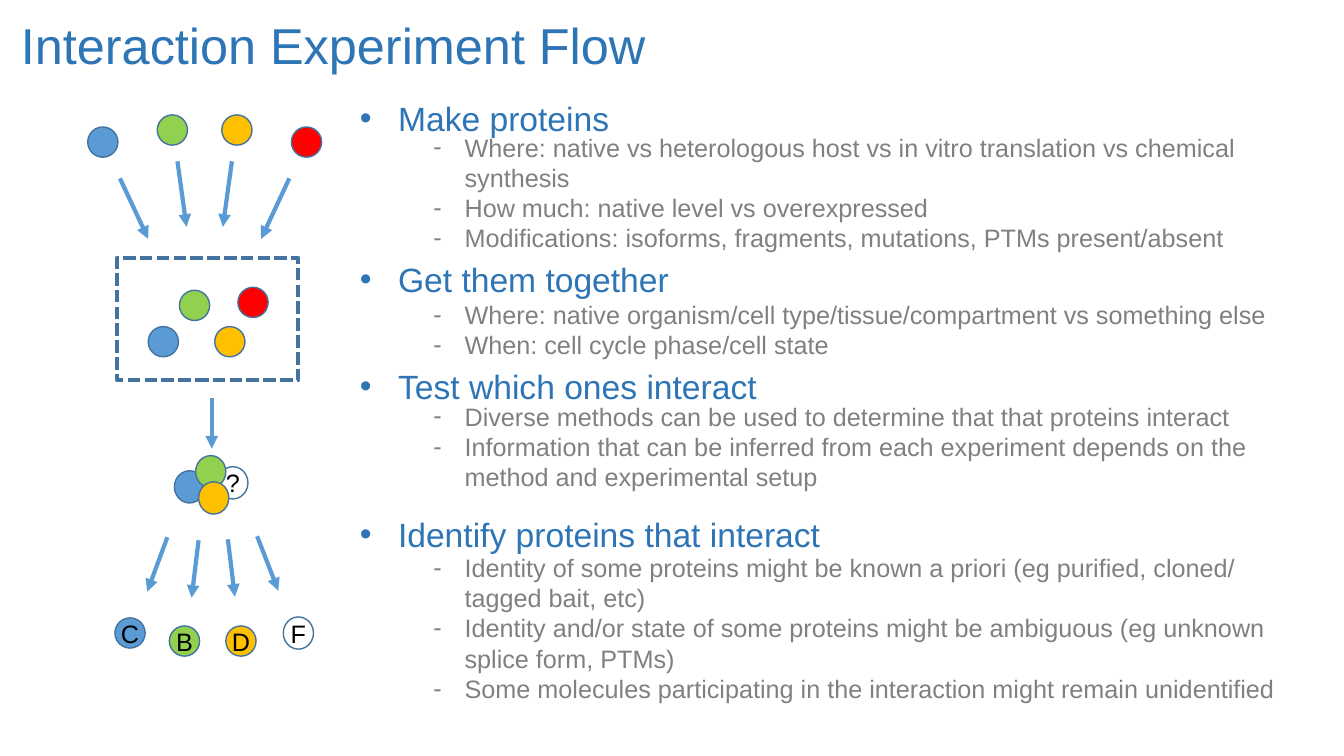
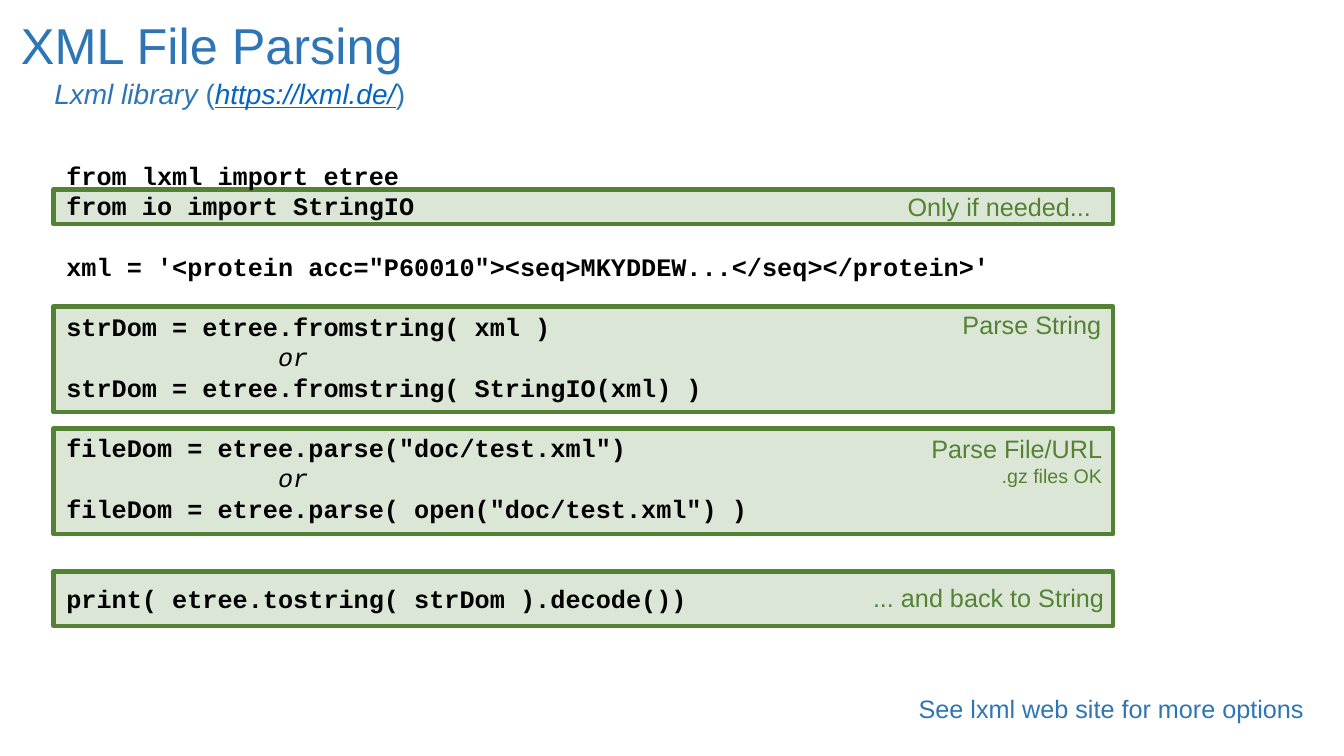
from lxml import etree
from pptx import Presentation, util as u
from pptx.dml import color
from pptx.enum import dml, shapes, text
from pptx.oxml import ns

PX = 9144
TITLE_BLUE, SKY, NAVY = "2E75B6", "5B9BD5", "43739E"
GREEN, LIME, AMBER, RED = "548235", "92D050", "FFC000", "FF0000"
GREY, BLACK, LINK = "808080", "000000", "0563C1"
SANS, MONO = "Arial", "Courier New"
DISC = 30
TALL_DISC = 32

SECTIONS = [
    (92, 34, "Make proteins", [
        "Where: native vs heterologous host vs in vitro translation vs chemical synthesis",
        "How much: native level vs overexpressed",
        "Modifications: isoforms, fragments, mutations, PTMs present/absent"]),
    (252, 40, "Get them together", [
        "Where: native organism/cell type/tissue/compartment vs something else",
        "When: cell cycle phase/cell state"]),
    (358, 35, "Test which ones interact", [
        "Diverse methods can be used to determine that that proteins interact",
        "Information that can be inferred from each experiment depends on the method "
        "and experimental setup"]),
    (505, 38, "Identify proteins that interact", [
        "Identity of some proteins might be known a priori (eg purified, cloned/ tagged bait, etc)",
        "Identity and/or state of some proteins might be ambiguous (eg unknown splice form, PTMs)",
        "Some molecules participating in the interaction might remain unidentified"]),
]

DISCS = [
    (0, 12, DISC, SKY, ""), (69, 0, DISC, LIME, ""),
    (133, 0, DISC, AMBER, ""), (202, 12, DISC, RED, ""),
    (60, 210, DISC, SKY, ""), (91, 174, DISC, LIME, ""),
    (126, 210, DISC, AMBER, ""), (149, 171, DISC, RED, ""),
    (129, 349, TALL_DISC, None, "?"), (86, 353, TALL_DISC, SKY, ""),
    (107, 338, TALL_DISC, LIME, ""), (110, 364, TALL_DISC, AMBER, ""),
    (27, 499, DISC, SKY, "C"), (81, 507, DISC, LIME, "B"),
    (137, 507, DISC, AMBER, "D"), (194, 498, TALL_DISC, None, "F"),
]

ARROWS = [
    (32, 63, 60, 123), (89, 46, 98, 111), (143, 46, 134, 111), (200, 63, 172, 123),
    (123, 281, 123, 331),
    (79, 419, 59, 473), (110, 422, 103, 479), (139, 421, 146, 478), (168, 418, 189, 472),
]

PANELS = [
    (188, 34, -3, 1092, ["Only if needed..."]),
    (304, 105, -2, 1102, ["Parse String"]),
    (425, 105, 0, 1103, ["Parse File/URL", ".gz files OK"]),
    (567, 54, 6, 1105, ["... and back to String"]),
]

CODE_TOP, CODE_PITCH = 154, 30
CODE = [
    (0, ["from lxml import etree", "from io import StringIO"]),
    (3, ["xml = '<protein acc=\"P60010\"><seq>MKYDDEW...</seq></protein>'"]),
    (5, ["strDom = etree.fromstring( xml )", "or",
         "strDom = etree.fromstring( StringIO(xml) )"]),
    (9, ["fileDom = etree.parse(\"doc/test.xml\")", "or",
         "fileDom = etree.parse( open(\"doc/test.xml\") )"]),
    (14, ["print( etree.tostring( strDom ).decode())"]),
]


def rgb(value):
    """Turn a hex string into a colour."""
    return color.RGBColor.from_string(value)


def emu(*lengths):
    """Turn px lengths into EMU."""
    return [u.Emu(length * PX) for length in lengths]


def style_font(font, size, hue, name=SANS, bold=False, italic=False):
    """Set the look of a font."""
    font.name, font.size, font.bold, font.italic = name, u.Pt(size), bold, italic
    font.color.rgb = rgb(hue)


def indent(paragraph, margin, bullet=None):
    """Indent a paragraph, hanging a bullet in the margin if one is given."""
    properties = paragraph._p.get_or_add_pPr()
    properties.set("marL", str(margin * PX))
    if bullet:
        properties.set("indent", str(-margin * PX))
        font = etree.SubElement(properties, ns.qn("a:buFont"))
        font.set("typeface", SANS)
        etree.SubElement(properties, ns.qn("a:buChar")).set("char", bullet)


def add_text(slide, box, lines, size, hue, name=SANS, bold=False, align=None):
    """Add a text box with one paragraph per line and return its paragraphs."""
    frame = slide.shapes.add_textbox(*emu(*box)).text_frame
    frame.word_wrap = True
    frame.text = "\n".join(lines)
    for paragraph in frame.paragraphs:
        paragraph.alignment = align
        for run in paragraph.runs:
            style_font(run.font, size, hue, name, bold)
    return frame.paragraphs


def add_outline(slide, kind, box, fill, line, width):
    """Add a preset shape with an outline and an optional fill."""
    shape = slide.shapes.add_shape(kind, *emu(*box))
    shape.shadow.inherit = False
    if fill:
        shape.fill.solid()
        shape.fill.fore_color.rgb = rgb(fill)
    else:
        shape.fill.background()
    shape.line.color.rgb = rgb(line)
    shape.line.width = u.Pt(width)
    return shape


def add_disc(slide, box, fill, letter):
    """Add a protein disc with an optional letter."""
    disc = add_outline(slide, shapes.MSO_SHAPE.OVAL, box, fill, NAVY, 1)
    if letter:
        frame = disc.text_frame
        frame.margin_left = frame.margin_right = frame.margin_top = frame.margin_bottom = 0
        frame.word_wrap = False
        frame.vertical_anchor = text.MSO_ANCHOR.MIDDLE
        frame.text = letter
        paragraph = frame.paragraphs[0]
        paragraph.alignment = text.PP_ALIGN.CENTER
        style_font(paragraph.runs[0].font, 18, BLACK)


def add_arrow(slide, ends):
    """Add an arrow from the first point to the second."""
    arrow = slide.shapes.add_connector(shapes.MSO_CONNECTOR.STRAIGHT, *emu(*ends))
    arrow.line.color.rgb = rgb(SKY)
    arrow.line.width = u.Pt(3)
    head = etree.SubElement(arrow.line._get_or_add_ln(), ns.qn("a:tailEnd"))
    head.set("type", "triangle")
    etree.SubElement(arrow._element.spPr, ns.qn("a:effectLst"))


def add_titled_slide(presentation, title):
    """Add a blank slide with the shared title."""
    slide = presentation.slides.add_slide(presentation.slide_layouts[6])
    add_text(slide, (11, 9, 1300, 71), [title], 36, TITLE_BLUE)
    return slide


def add_diagram(slide, left, top):
    """Draw the protein flow from its top left corner."""
    chamber = add_outline(slide, shapes.MSO_SHAPE.RECTANGLE,
                          (left + 29, top + 142, 180, 121), None, NAVY, 3)
    chamber.line.dash_style = dml.MSO_LINE.SQUARE_DOT
    for x, y, height, fill, letter in DISCS:
        add_disc(slide, (left + x, top + y, DISC, height), fill, letter)
    for x1, y1, x2, y2 in ARROWS:
        add_arrow(slide, (left + x1, top + y1, left + x2, top + y2))


def add_section(slide, left, top, offset, heading, details):
    """Add a bulleted heading and its dashed details."""
    for paragraph in add_text(slide, (left, top, 600, 50), [heading], 24, TITLE_BLUE):
        indent(paragraph, 38, "•")
    box = (left + 73, top + offset, 867, 10 + 30 * len(details))
    for paragraph in add_text(slide, box, details, 18, GREY):
        indent(paragraph, 31, "-")


def add_panel(slide, left, top, height, label_offset, label_right, label):
    """Add a translucent green panel with a right-aligned label."""
    panel = add_outline(slide, shapes.MSO_SHAPE.RECTANGLE,
                        (left, top, 1051, height), GREEN, GREEN, 3)
    tint = panel._element.spPr.find(ns.qn("a:solidFill"))[0]
    etree.SubElement(tint, ns.qn("a:alpha")).set("val", "20000")
    box = (label_right - 300, top + label_offset, 300, 40)
    paragraphs = add_text(slide, box, label, 18, GREEN, align=text.PP_ALIGN.RIGHT)
    for note in paragraphs[1:]:
        note.runs[0].font.size = u.Pt(14)


def add_code(slide, left, top, lines):
    """Add lines of code, with alternatives split by an indented word."""
    box = (left, top, 1048, 10 + CODE_PITCH * len(lines))
    for paragraph in add_text(slide, box, lines, 18, BLACK, MONO, True):
        if paragraph.text == "or":
            indent(paragraph, 210)
            style_font(paragraph.runs[0].font, 18, BLACK, MONO, italic=True)


def add_subtitle(slide, left, top):
    """Add the library name and its address."""
    paragraph = add_text(slide, (left, top, 928, 44), [""], 20, TITLE_BLUE)[0]
    indent(paragraph, 13)
    for words, hue, italic in [("Lxml library ", TITLE_BLUE, True), ("(", TITLE_BLUE, False),
                               ("https://lxml.de/", LINK, True), (")", TITLE_BLUE, False)]:
        run = paragraph.add_run()
        run.text = words
        style_font(run.font, 20, hue, italic=italic)
        run.font.underline = hue == LINK


def build_flow_slide(presentation):
    """Build the slide on the experiment flow."""
    slide = add_titled_slide(presentation, "Interaction Experiment Flow")
    add_diagram(slide, 87, 114)
    for section in SECTIONS:
        add_section(slide, 347, *section)


def build_parsing_slide(presentation):
    """Build the slide on XML parsing."""
    slide = add_titled_slide(presentation, "XML File Parsing")
    add_subtitle(slide, 31, 71)
    for panel in PANELS:
        add_panel(slide, 53, *panel)
    for row, lines in CODE:
        add_code(slide, 56, CODE_TOP + row * CODE_PITCH, lines)
    add_text(slide, (803, 683, 500, 40), ["See lxml web site for more options"],
             18, TITLE_BLUE, align=text.PP_ALIGN.RIGHT)


def main():
    """Build and save the presentation."""
    presentation = Presentation()
    presentation.slide_width, presentation.slide_height = emu(1333, 750)
    build_flow_slide(presentation)
    build_parsing_slide(presentation)
    presentation.save("out.pptx")


if __name__ == "__main__":
    main()
